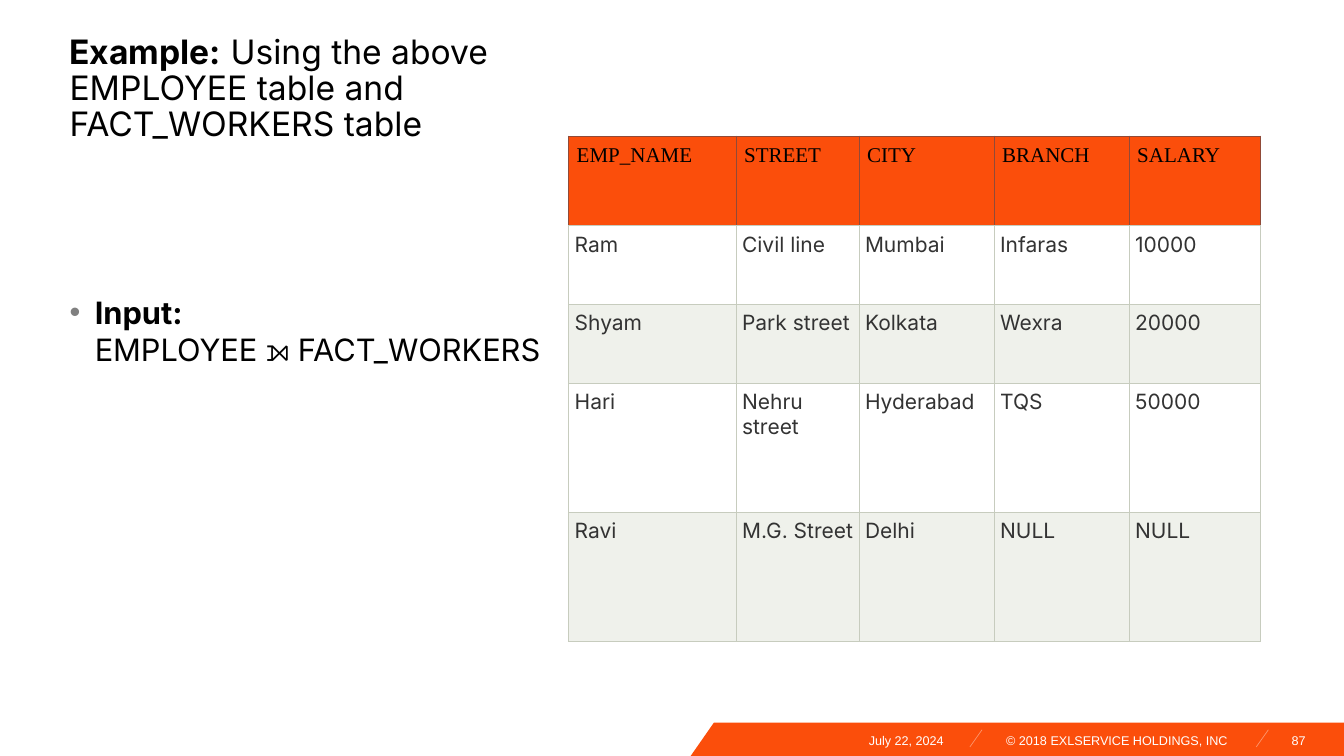
"""Build the outer join example slide with its employee table."""
from lxml import etree
from pptx import Presentation
from pptx.dml.color import RGBColor
from pptx.enum.shapes import MSO_CONNECTOR
from pptx.enum.text import PP_ALIGN as AL
from pptx.oxml import parse_xml
from pptx.oxml.ns import nsdecls, qn
from pptx.util import Inches, Pt

C = {"orange": "FB4E0B", "slash": "FC946B", "white": "FFFFFF", "black": "000000",
     "body": "333333", "band": "EFF1EB", "bullet": "808080",
     "grid": "C7CCBE", "head_edge": "904A38"}

TITLE = ("Example:", " Using the above EMPLOYEE table and FACT_WORKERS table")
INPUT = ("Input:", "\vEMPLOYEE ⟕ FACT_WORKERS")
FOOTER = [("July 22, 2024", 7.09, 2.27, AL.RIGHT),
          ("87", 12.58, 0.37, AL.RIGHT),
          ("© 2018 EXLSERVICE HOLDINGS, INC", 9.98, 2.27, AL.LEFT)]
SLASHES = [9.74, 12.58]
BAND = [(7.08, 7.17), (13.33, 7.17), (13.33, 7.5), (6.85, 7.5)]

ROWS = [("EMP_NAME", "STREET", "CITY", "BRANCH", "SALARY"),
        ("Ram", "Civil line", "Mumbai", "Infaras", "10000"),
        ("Shyam", "Park street", "Kolkata", "Wexra", "20000"),
        ("Hari", "Nehru street", "Hyderabad", "TQS", "50000"),
        ("Ravi", "M.G. Street", "Delhi", "NULL", "NULL")]
COL_WIDTHS = [1.66, 1.22, 1.34, 1.34, 1.3]
ROW_HEIGHTS = [0.89, 0.78, 0.78, 1.28, 1.28]


def rgb(name):
    return RGBColor.from_string(C[name])


def write(tf, text, lead="", size=15, font="Inter", color="black", align=AL.LEFT,
          spacing=None, bullet=False):
    p = tf.paragraphs[0]
    if bullet:
        pPr = p._p.get_or_add_pPr()
        pPr.set("marL", str(Inches(0.25)))
        pPr.set("indent", str(-Inches(0.25)))
        clr = etree.SubElement(pPr, qn("a:buClr"))
        etree.SubElement(clr, qn("a:srgbClr"), val=C["bullet"])
        etree.SubElement(pPr, qn("a:buFont"), typeface="Arial")
        etree.SubElement(pPr, qn("a:buChar"), char="•")
    p.alignment = align
    if spacing:
        p.line_spacing = spacing
    for part, bold in ((lead, True), (text, False)):
        for i, piece in enumerate(part.split("\v")):
            if i:
                p.add_line_break()
            if piece:
                r = p.add_run()
                r.text = piece
                r.font.size, r.font.name, r.font.bold = Pt(size), font, bold
                r.font.color.rgb = rgb(color)


def add_text(s, box, text, **fmt):
    tf = s.shapes.add_textbox(*map(Inches, box)).text_frame
    tf.word_wrap = True
    tf.margin_left = tf.margin_top = tf.margin_right = tf.margin_bottom = 0
    write(tf, text, **fmt)


def add_footer(s):
    start, *rest = [(Inches(x), Inches(y)) for x, y in BAND]
    fb = s.shapes.build_freeform(*start)
    fb.add_line_segments(rest, close=True)
    sp = fb.convert_to_shape()
    sp.shadow.inherit = False
    sp.fill.solid()
    sp.fill.fore_color.rgb = rgb("orange")
    sp.line.fill.background()
    for x in SLASHES:
        ends = map(Inches, (x, 7.24, x - 0.12, 7.41))
        cn = s.shapes.add_connector(MSO_CONNECTOR.STRAIGHT, *ends)
        cn.line.color.rgb = rgb("slash")
        cn.line.width = Pt(0.5)
        etree.SubElement(cn._element.spPr, qn("a:effectLst"))
    for text, x, w, align in FOOTER:
        add_text(s, (x, 7.27, w, 0.15), text, size=9, font="Arial",
                 color="white", align=align)


def format_cell(cell, text, row):
    head = row == 0
    tcPr = cell._tc.get_or_add_tcPr()
    for side in "LRTB":
        edge = "head_edge" if head and side != "B" else "grid"
        tcPr.append(parse_xml(
            f'<a:ln{side} {nsdecls("a")} w="{Pt(0.6)}"><a:solidFill>'
            f'<a:srgbClr val="{C[edge]}"/></a:solidFill></a:ln{side}>'))
    cell.fill.solid()
    cell.fill.fore_color.rgb = rgb("orange" if head else "white" if row % 2 else "band")
    cell.margin_left = cell.margin_top = cell.margin_bottom = Inches(0.08 if head else 0.06)
    cell.margin_right = Inches(0.04)
    write(cell.text_frame, text, font="Times New Roman" if head else "Inter",
          color="black" if head else "body", align=AL.LEFT if head else AL.JUSTIFY)


def add_employees(s):
    box = map(Inches, (5.64, 1.35, sum(COL_WIDTHS), sum(ROW_HEIGHTS)))
    table = s.shapes.add_table(len(ROWS), len(COL_WIDTHS), *box).table
    for col, w in zip(table.columns, COL_WIDTHS):
        col.width = Inches(w)
    for i, (values, h) in enumerate(zip(ROWS, ROW_HEIGHTS)):
        table.rows[i].height = Inches(h)
        for j, value in enumerate(values):
            format_cell(table.cell(i, j), value, i)


def main():
    prs = Presentation()
    prs.slide_width, prs.slide_height = Inches(13.33), Inches(7.5)
    s = prs.slides.add_slide(prs.slide_layouts[6])
    add_footer(s)
    add_text(s, (0.69, 0.35, 5.27, 1.09), TITLE[1], lead=TITLE[0], size=24, spacing=0.9)
    add_text(s, (0.69, 2.91, 5.27, 3.88), INPUT[1], lead=INPUT[0], size=22, bullet=True)
    add_employees(s)
    prs.save("out.pptx")


if __name__ == "__main__":
    main()
